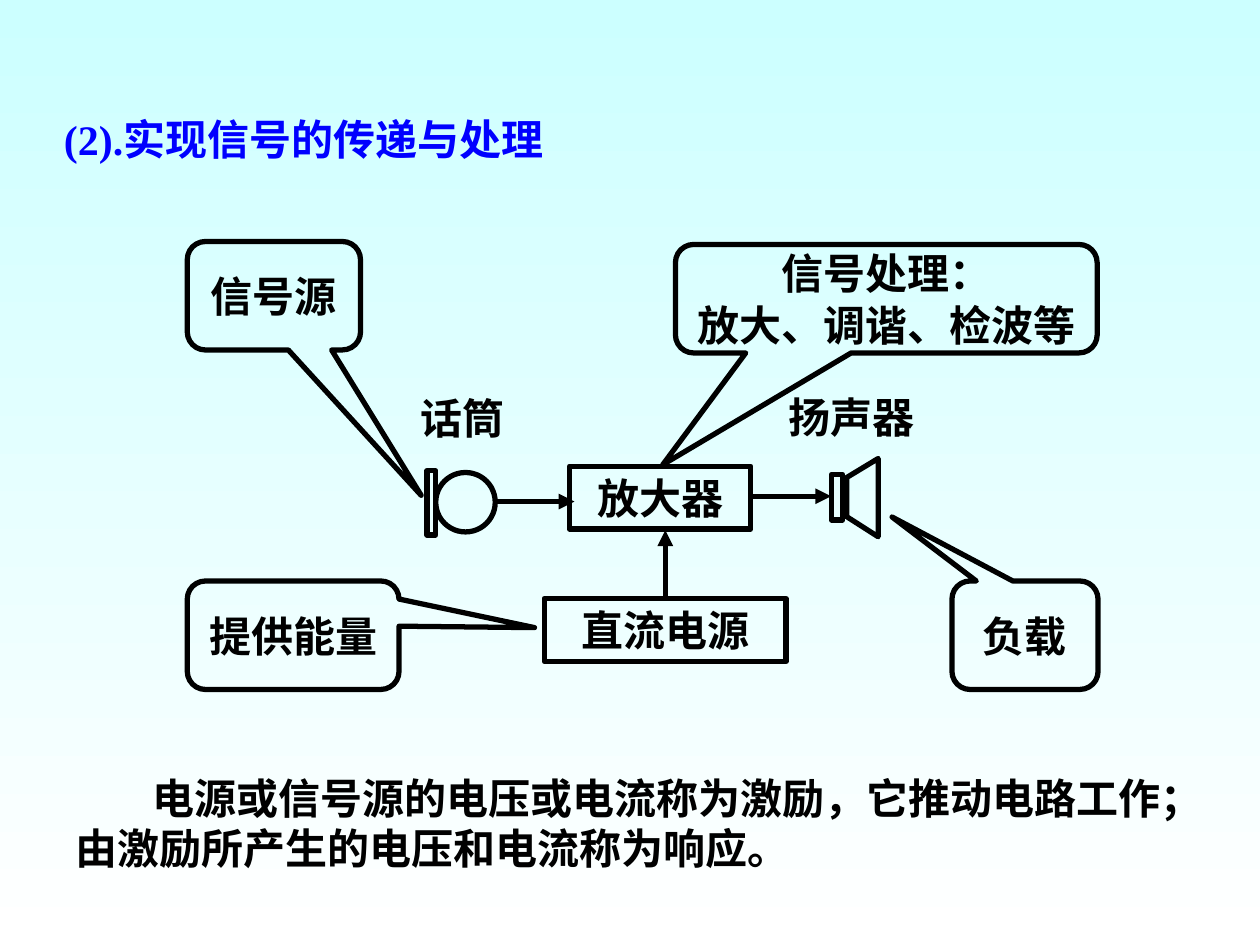
from dataclasses import dataclass

from lxml import etree
from pptx import Presentation
from pptx.dml import color
from pptx.enum import shapes, text
from pptx.oxml import ns
from pptx.util import Pt


@dataclass(frozen=True)
class Theme:
    ink: color.RGBColor = color.RGBColor(0, 0, 0)
    heading: color.RGBColor = color.RGBColor(0, 0, 255)
    sky: color.RGBColor = color.RGBColor(204, 255, 255)
    white: color.RGBColor = color.RGBColor(255, 255, 255)
    font: str = "Times New Roman"
    size: float = 24
    stroke: float = 3
    paragraph_gap: float = 0.5
    first_line_indent: float = 44


@dataclass(frozen=True)
class Box:
    """A place in points, with optional wording."""
    left: float
    top: float
    width: float
    height: float
    words: tuple[str, ...] = ()


@dataclass(frozen=True)
class Callout:
    box: Box
    tip: tuple[float, float]  # pointer offset as a share of the box size


@dataclass(frozen=True)
class Arrow:
    start: tuple[float, float]
    end: tuple[float, float]


THEME = Theme()
KIND = shapes.MSO_SHAPE
CORNER = 0.167

# Wording
TITLE = Box(29.5, 61.2, 620, 36, ("(2).实现信号的传递与处理",))
BODY = Box(36, 437.8, 657.4, 64.8, (
    "电源或信号源的电压或电流称为激励，它推动电路工作；由激励所产生的电压和电流称为响应。",))
LABELS = (
    Box(233.3, 221, 80.6, 36, ("话筒",)),
    Box(443.5, 220.3, 103.7, 36, ("扬声器",)),
)

# Circuit parts
CALLOUTS = (
    Callout(Box(107, 138, 99, 62, ("信号源",)), (0.85, 1.84)),
    Callout(Box(386, 139.7, 241, 62, ("信号处理：", "放大、调谐、检波等")), (-0.53, 1.53)),
    Callout(Box(107, 332, 121, 62, ("提供能量",)), (1.14, -0.07)),
    Callout(Box(544, 332, 83.5, 62, ("负载",)), (-0.91, -1.09)),
)
BLOCKS = (
    Box(325.4, 266.4, 103.7, 36, ("放大器",)),
    Box(311, 342, 138.2, 36, ("直流电源",)),
)
MICROPHONE_HEAD = Box(249, 270, 34, 34)
MICROPHONE_PLATE = Box(244, 269, 5, 36.7)
SPEAKER_BASE = Box(475, 271.2, 6.6, 26)
SPEAKER_HORN = ((501.8, 262), (483.8, 272.9), (483.8, 295.2), (501.8, 306.7))
ARROWS = (
    Arrow((282.3, 286.6), (328.3, 286.6)),
    Arrow((429.1, 283.6), (475, 283.6)),
    Arrow((380.2, 343.4), (380.2, 303)),
)


def set_attributes(target, values: dict) -> None:
    for name, value in values.items():
        setattr(target, name, value)


def place(box: Box) -> list:
    return [Pt(value) for value in (box.left, box.top, box.width, box.height)]


def write(shape, words: tuple[str, ...], ink: color.RGBColor = THEME.ink,
          align=text.PP_ALIGN.LEFT, anchor=text.MSO_ANCHOR.TOP,
          wrap: bool = True) -> None:
    frame = shape.text_frame
    set_attributes(frame, {"word_wrap": wrap, "vertical_anchor": anchor})
    for index, line in enumerate(words):
        paragraph = frame.add_paragraph() if index else frame.paragraphs[0]
        paragraph.alignment = align
        if index:
            paragraph.space_before = Pt(THEME.paragraph_gap)
        run = paragraph.add_run()
        run.text = line
        set_attributes(run.font, {"name": THEME.font, "size": Pt(THEME.size), "bold": True})
        run.font.color.rgb = ink


def outline(shape) -> None:
    shape.shadow.inherit = False
    shape.fill.background()
    shape.line.color.rgb = THEME.ink
    shape.line.width = Pt(THEME.stroke)


def draw_text(slide, box: Box, ink: color.RGBColor = THEME.ink):
    shape = slide.shapes.add_textbox(*place(box))
    write(shape, box.words, ink)
    return shape


def draw_shape(slide, kind, box: Box, wrap: bool = True):
    shape = slide.shapes.add_shape(kind, *place(box))
    outline(shape)
    if box.words:
        write(shape, box.words, align=text.PP_ALIGN.CENTER,
              anchor=text.MSO_ANCHOR.MIDDLE, wrap=wrap)
    return shape


def draw_callout(slide, callout: Callout) -> None:
    shape = draw_shape(slide, KIND.ROUNDED_RECTANGULAR_CALLOUT, callout.box, wrap=False)
    for index, value in enumerate((*callout.tip, CORNER)):
        shape.adjustments[index] = value


def draw_horn(slide, points) -> None:
    first, *others = [(Pt(x), Pt(y)) for x, y in points]
    builder = slide.shapes.build_freeform(*first)
    builder.add_line_segments(others, close=True)
    outline(builder.convert_to_shape())


def draw_arrow(slide, arrow: Arrow) -> None:
    ends = [Pt(value) for value in (*arrow.start, *arrow.end)]
    connector = slide.shapes.add_connector(shapes.MSO_CONNECTOR.STRAIGHT, *ends)
    connector.line.color.rgb = THEME.ink
    connector.line.width = Pt(THEME.stroke)
    properties = connector.element.spPr
    line = properties.find(ns.qn("a:ln"))
    etree.SubElement(line, ns.qn("a:tailEnd"), type="triangle")
    etree.SubElement(properties, ns.qn("a:effectLst"))


def paint_background(slide) -> None:
    fill = slide.background.fill
    fill.gradient()
    fill.gradient_angle = 270
    for stop, shade in zip(fill.gradient_stops, (THEME.sky, THEME.white)):
        stop.color.rgb = shade


def main() -> None:
    presentation = Presentation()
    set_attributes(presentation, {"slide_width": Pt(720), "slide_height": Pt(540)})
    slide = presentation.slides.add_slide(presentation.slide_layouts[6])
    paint_background(slide)

    # Title and explanation
    body = draw_text(slide, BODY)
    properties = body.text_frame.paragraphs[0]._p.get_or_add_pPr()
    properties.set("indent", str(Pt(THEME.first_line_indent)))
    draw_text(slide, TITLE, THEME.heading)

    # Microphone and loudspeaker
    draw_shape(slide, KIND.OVAL, MICROPHONE_HEAD)
    for box in (MICROPHONE_PLATE, SPEAKER_BASE, *BLOCKS):
        draw_shape(slide, KIND.RECTANGLE, box)
    draw_horn(slide, SPEAKER_HORN)
    for label in LABELS:
        draw_text(slide, label)

    # Signal flow and remarks
    for arrow in ARROWS:
        draw_arrow(slide, arrow)
    for callout in CALLOUTS:
        draw_callout(slide, callout)

    presentation.save("out.pptx")


if __name__ == "__main__":
    main()
